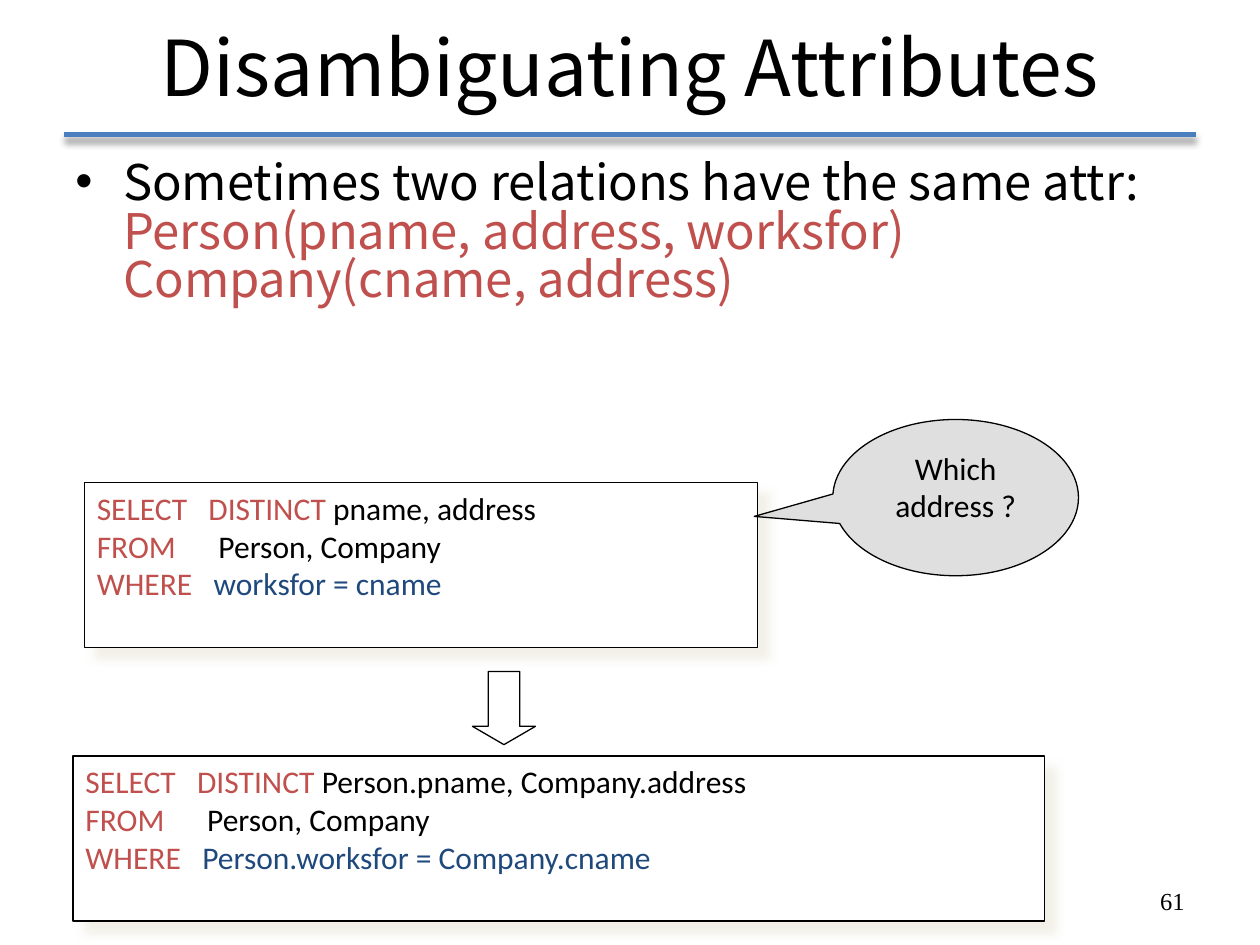
from lxml import etree
from pptx import Presentation
from pptx.dml.color import RGBColor
from pptx.enum.shapes import MSO_CONNECTOR, MSO_SHAPE as SHAPE
from pptx.enum.text import MSO_ANCHOR as ANCHOR, PP_ALIGN as ALIGN
from pptx.oxml import parse_xml
from pptx.oxml.ns import nsdecls, qn
from pptx.util import Inches, Pt

BLACK = RGBColor(0x00, 0x00, 0x00)
WHITE = RGBColor(0xFF, 0xFF, 0xFF)
RED = RGBColor(0xC0, 0x50, 0x4D)
NAVY = RGBColor(0x1F, 0x49, 0x7D)
RULE_BLUE = RGBColor(0x4B, 0x7E, 0xBC)
SILVER = RGBColor(0xC0, 0xC0, 0xC0)
CREAM = RGBColor(0xEE, 0xEC, 0xE1)


class SlideBuilder:
    heading_font = "Noto Sans CJK JP"
    query_font = "Calibri"
    number_font = "Times New Roman"

    def __init__(self, slide):
        self.s = slide

    def fill_text(self, tf, parts, font, size, align=ALIGN.LEFT, anchor=ANCHOR.TOP):
        """Fill one paragraph from (text, colour) parts; a newline is a line break."""
        tf.vertical_anchor = anchor
        p = tf.paragraphs[0]
        p.alignment = align
        for text, color in parts:
            for i, line in enumerate(text.split("\n")):
                if i:
                    p.add_line_break()
                if line:
                    r = p.add_run()
                    r.text = line
                    r.font.name, r.font.size = font, Pt(size)
                    r.font.color.rgb = color
        return p

    def text(self, x, y, w, h, parts, font, size, **layout):
        tf = self.s.shapes.add_textbox(Inches(x), Inches(y), Inches(w), Inches(h)).text_frame
        tf.word_wrap = True
        return self.fill_text(tf, parts, font, size, **layout)

    def bullet(self, x, y, w, h, parts, size, indent):
        p = self.text(x, y, w, h, parts, self.heading_font, size)
        p.line_spacing = 0.83
        pPr = p._p.get_or_add_pPr()
        pPr.set("marL", str(Inches(indent)))
        pPr.set("indent", str(-Inches(indent)))
        etree.SubElement(pPr, qn("a:buFont")).set("typeface", "Arial")
        etree.SubElement(pPr, qn("a:buChar")).set("char", "•")

    def shadow(self, sp, color, alpha, blur, dist, angle):
        """Add an outer shadow: alpha in percent, blur and distance in points."""
        sp._element.spPr.append(parse_xml(
            f'<a:effectLst {nsdecls("a")}><a:outerShdw blurRad="{Pt(blur)}" '
            f'dist="{Pt(dist)}" dir="{angle * 60000}" algn="ctr" rotWithShape="0">'
            f'<a:srgbClr val="{color}"><a:alpha val="{alpha * 1000}"/></a:srgbClr>'
            '</a:outerShdw></a:effectLst>'))

    def rule(self, x1, x2, y):
        line = self.s.shapes.add_connector(
            MSO_CONNECTOR.STRAIGHT, Inches(x1), Inches(y), Inches(x2), Inches(y))
        line.line.color.rgb = RULE_BLUE
        line.line.width = Pt(3)
        self.shadow(line, BLACK, 40, 4, 3, 90)

    def shape(self, kind, x, y, w, h, fill=None, adjustments=()):
        sp = self.s.shapes.add_shape(kind, Inches(x), Inches(y), Inches(w), Inches(h))
        if fill is None:
            sp.fill.background()
        else:
            sp.fill.solid()
            sp.fill.fore_color.rgb = fill
        sp.line.color.rgb = BLACK
        sp.line.width = Pt(0.75)
        for i, value in enumerate(adjustments):
            sp.adjustments[i] = value
        return sp

    def query(self, x, y, w, columns, condition):
        sp = self.shape(SHAPE.RECTANGLE, x, y, w, 1.31, WHITE)
        self.shadow(sp, CREAM, 75, 5, 8.5, 45)
        sp.text_frame.word_wrap = False
        self.fill_text(sp.text_frame, [
            ("SELECT   DISTINCT", RED), (f" {columns}\n", BLACK),
            ("FROM", RED), ("      Person, Company\n", BLACK),
            ("WHERE   ", RED), (condition, NAVY)], self.query_font, 18)

    def callout(self, x, y, w, h, text, tip):
        sp = self.shape(SHAPE.OVAL_CALLOUT, x, y, w, h, SILVER, tip)
        sp.shadow.inherit = False
        color = sp._element.spPr.find(qn("a:solidFill"))[0]
        etree.SubElement(color, qn("a:alpha")).set("val", "50000")
        sp.text_frame.word_wrap = False
        self.fill_text(sp.text_frame, [(text, BLACK)], self.query_font, 18, ALIGN.CENTER)

    def down_arrow(self, x, y, w, h):
        sp = self.shape(SHAPE.DOWN_ARROW, x, y, w, h, adjustments=(0.5, 0.29))
        sp.shadow.inherit = False


def main():
    prs = Presentation()
    prs.slide_width, prs.slide_height = Inches(10), Inches(7.5)
    b = SlideBuilder(prs.slides.add_slide(prs.slide_layouts[6]))

    b.rule(0.51, 9.49, 1.07)
    b.text(7.17, 6.95, 2.33, 0.4, [("61", BLACK)], b.number_font, 14,
           align=ALIGN.RIGHT, anchor=ANCHOR.MIDDLE)
    b.text(0.5, -0.03, 9, 1.1, [("Disambiguating Attributes", BLACK)], b.heading_font, 44,
           align=ALIGN.CENTER, anchor=ANCHOR.MIDDLE)
    b.bullet(0.5, 1.23, 9, 5.47, [
        ("Sometimes two relations have the same attr:\n", BLACK),
        ("Person(pname, address, worksfor)\nCompany(cname, address)", RED)], 28, 0.38)

    b.query(0.67, 3.83, 5.34, "pname, address", "worksfor = cname")
    b.query(0.58, 6, 7.71, "Person.pname, Company.address",
            "Person.worksfor = Company.cname")
    b.callout(6.61, 3.33, 1.95, 1.24, "Which\naddress ?", (-0.82, 0.12))
    b.down_arrow(3.75, 5.33, 0.5, 0.58)

    prs.save("out.pptx")


if __name__ == "__main__":
    main()
